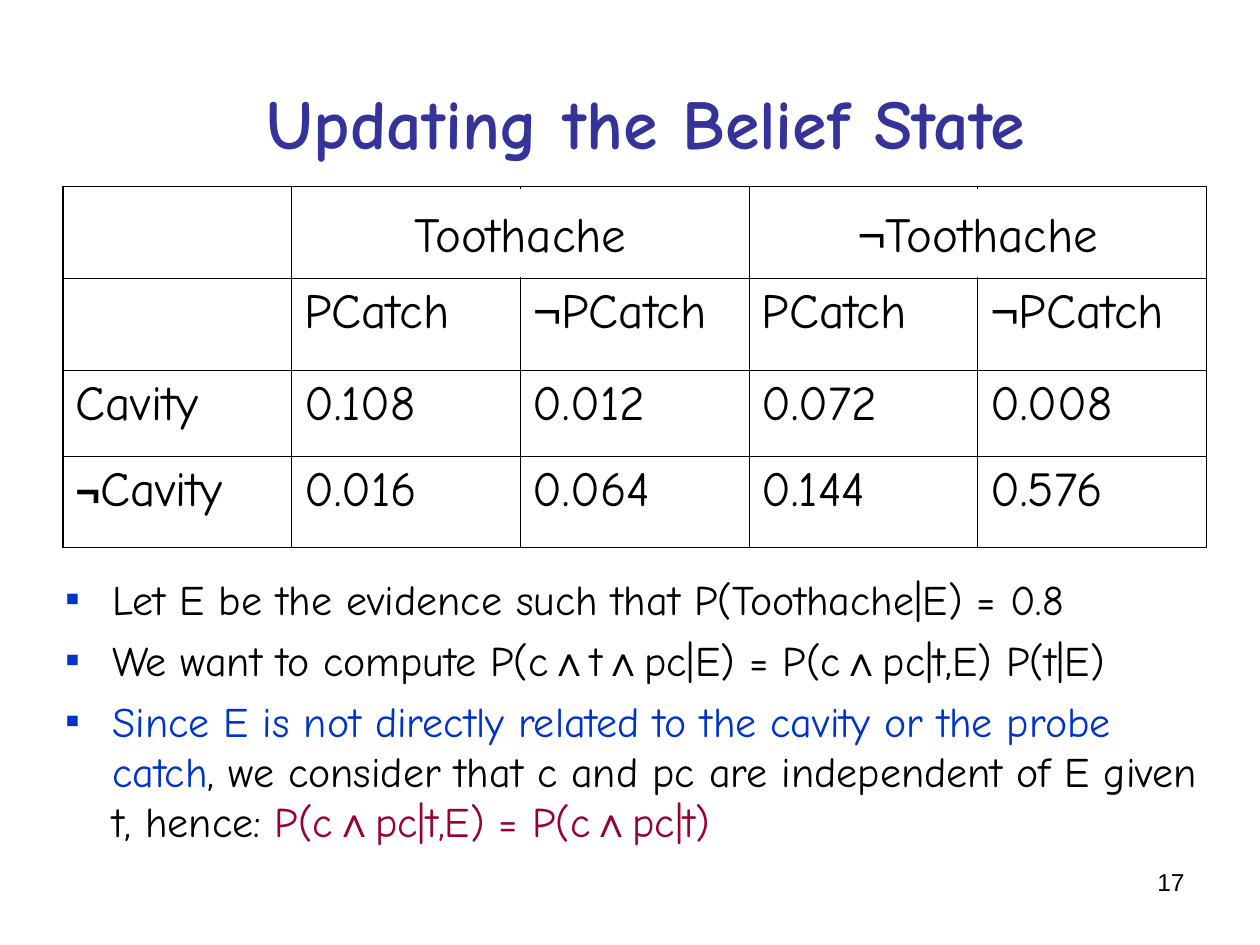
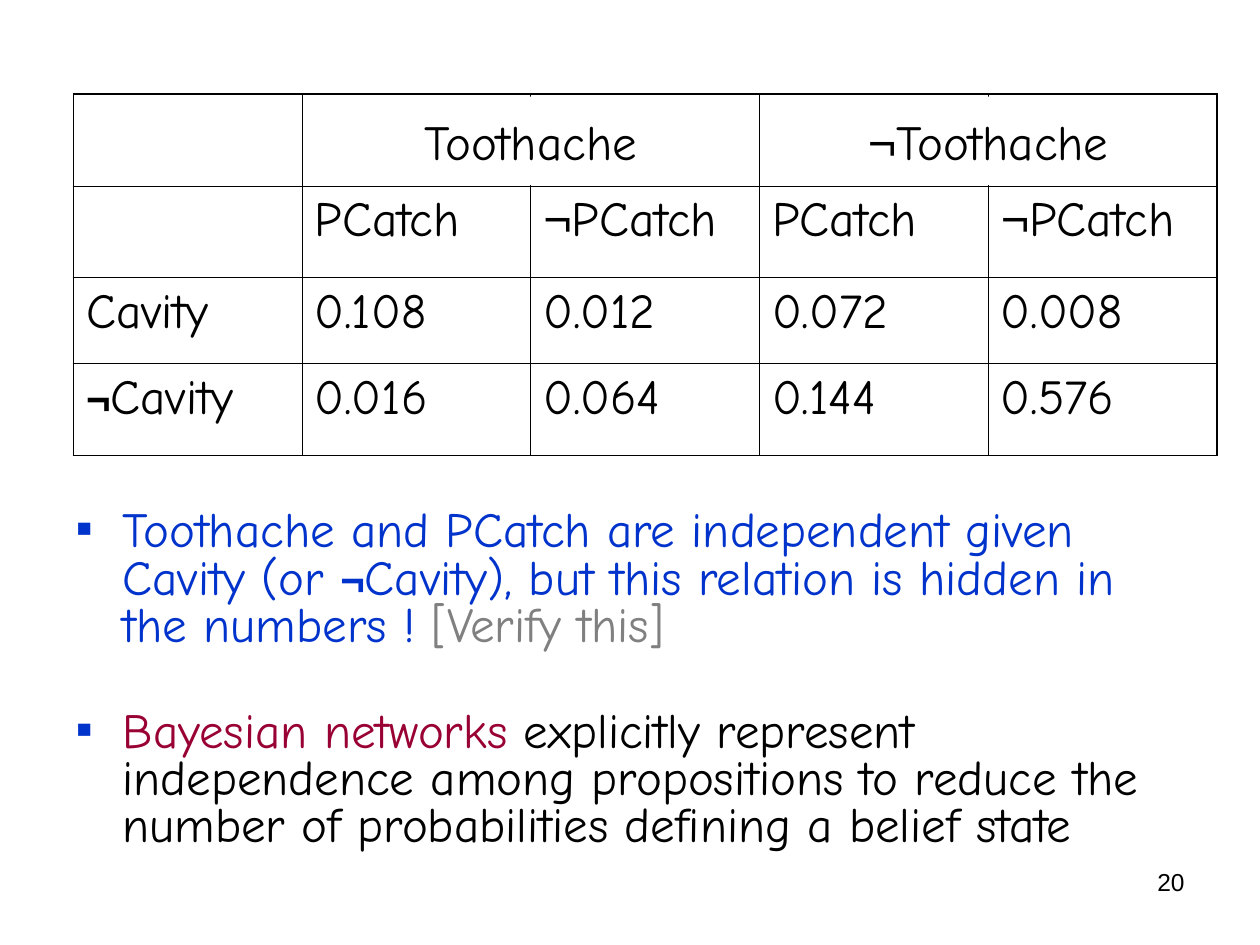
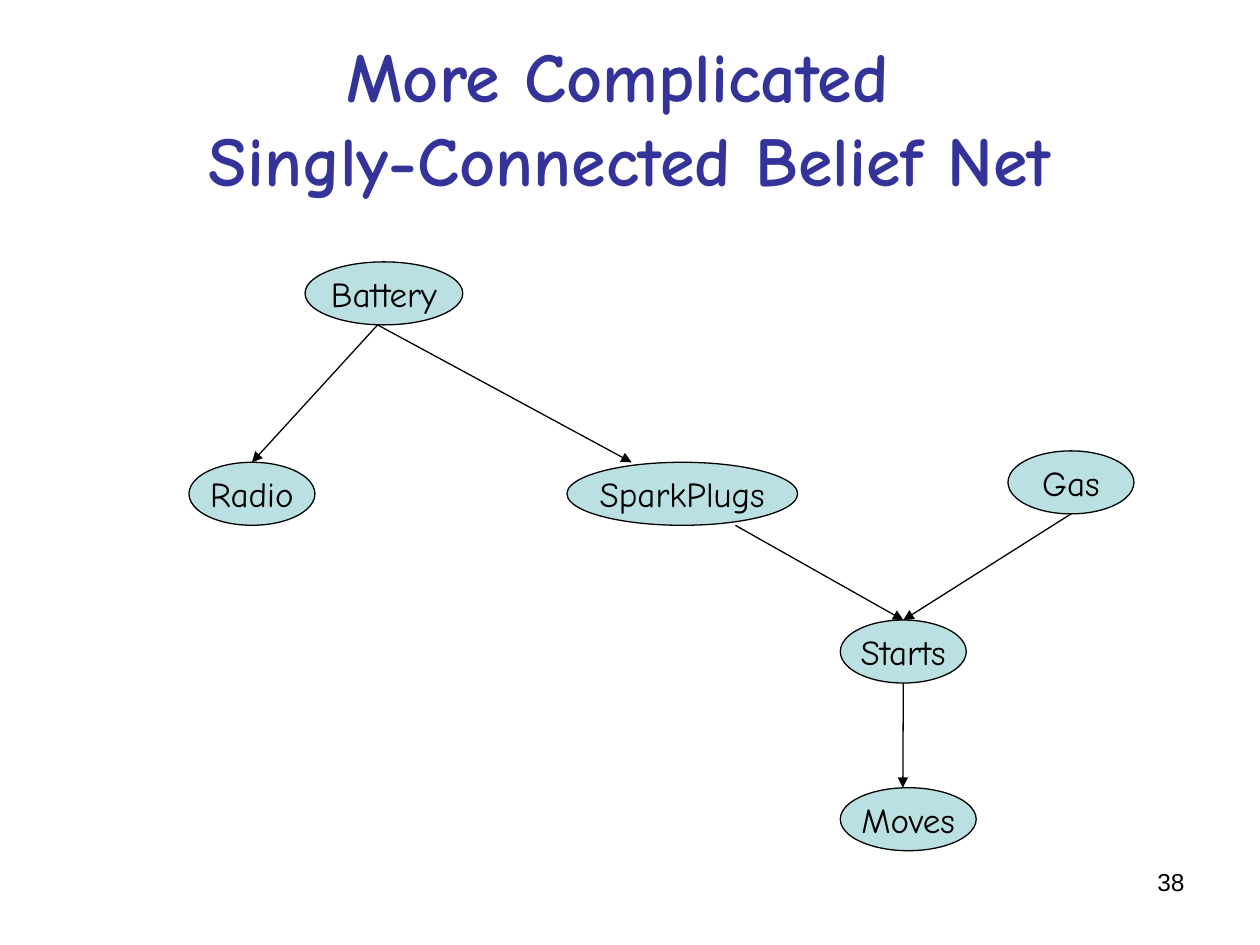
from itertools import groupby

from lxml.etree import SubElement
from pptx import Presentation
from pptx.dml.color import RGBColor
from pptx.enum.shapes import MSO_CONNECTOR as Connector, MSO_SHAPE as Shape
from pptx.enum.text import MSO_ANCHOR as Anchor, MSO_AUTO_SIZE as AutoSize, PP_ALIGN as Align
from pptx.oxml.ns import qn
from pptx.util import Cm, Pt

COLOURS = {"title": "333399", "ink": "000000", "blue": "0033CC", "red": "990033",
           "grey": "808080", "node": "BBE0E3", "paper": "FFFFFF"}
FONT, SYMBOL_FONT = "Comic Neue", "Arial"
SYMBOLS = "¬∧"
TITLE_AND_BODY, TITLE_ONLY = 1, 5  # layout indexes

# Joint distribution, all lengths in cm
COLUMN_WIDTH = 4.61
ROW_HEIGHTS = [1.85, 1.85, 1.73, 1.85]
EVIDENCE = ["Toothache", "¬Toothache"]
JOINT_ROWS = [
    ["", "", "", "", ""],
    ["", "PCatch", "¬PCatch", "PCatch", "¬PCatch"],
    ["Cavity", "0.108", "0.012", "0.072", "0.008"],
    ["¬Cavity", "0.016", "0.064", "0.144", "0.576"],
]

# Belief net: node -> left, top, width inside the net's box
NODE_HEIGHT = 1.27
NODES = {
    "Radio": (0, 4.04, 2.54),
    "Battery": (2.34, 0, 3.18),
    "SparkPlugs": (7.62, 4.04, 4.65),
    "Starts": (13.13, 7.22, 2.54),
    "Gas": (16.51, 3.81, 2.54),
    "Moves": (13.13, 10.6, 2.74),
}
# Cause, effect, and where the arrow meets each as a share of its width
EDGES = [
    ("Battery", 0.46, "Radio", 0.5),
    ("Battery", 0.46, "SparkPlugs", 0.28),
    ("SparkPlugs", 0.73, "Starts", 0.5),
    ("Gas", 0.5, "Starts", 0.5),
    ("Starts", 0.5, "Moves", 0.46),
]


def rgb(name):
    return RGBColor.from_string(COLOURS[name])


def cm(*lengths):
    return [Cm(length) for length in lengths]


def apply(target, **values):
    for name, value in values.items():
        setattr(target, name, value)


def write(paragraph, text, size, colour="ink", font=FONT, bold=False, symbol=None):
    """Add text, setting logic symbols in their own font and format."""
    for number, line in enumerate(text.split("\n")):
        if number:
            paragraph.add_line_break()
        for is_symbol, letters in groupby(line, lambda letter: letter in SYMBOLS):
            run = paragraph.add_run()
            run.text = "".join(letters)
            look = {"name": font, "size": Pt(size), "bold": bold}
            if is_symbol:
                look |= {"name": SYMBOL_FONT, **(symbol or {})}
            apply(run.font, **look)
            run.font.color.rgb = rgb(colour)


def place(shape, box):
    apply(shape, **dict(zip(("left", "top", "width", "height"), cm(*box))))


def add_title(slide, box, text):
    title = slide.shapes.title
    place(title, box)
    apply(title.text_frame, auto_size=AutoSize.NONE, vertical_anchor=Anchor.MIDDLE)
    paragraph = title.text_frame.paragraphs[0]
    paragraph.alignment = Align.CENTER
    write(paragraph, text, 40, "title", bold=True)


def add_page_number(slide, number):
    frame = slide.shapes.add_textbox(*cm(18.2, 17.35, 5.93, 1.32)).text_frame
    frame.word_wrap = True
    paragraph = frame.paragraphs[0]
    paragraph.alignment = Align.RIGHT
    write(paragraph, str(number), 14, font=SYMBOL_FONT)


def add_bullet(paragraph):
    properties = paragraph._p.get_or_add_pPr()
    properties.set("marL", str(Cm(0.95)))
    properties.set("indent", str(Cm(-0.95)))
    colour = SubElement(properties, qn("a:buClr"))
    SubElement(colour, qn("a:srgbClr"), val=COLOURS["blue"])
    SubElement(properties, qn("a:buFont"), typeface=SYMBOL_FONT)
    SubElement(properties, qn("a:buChar"), char="▪")


def add_points(slide, box, points, size, gaps, spacing, symbol):
    """Fill the body with points, each a list of (text, colour)."""
    body = slide.placeholders[1]
    place(body, box)
    frame = body.text_frame
    apply(frame, auto_size=AutoSize.NONE, vertical_anchor=Anchor.TOP)
    for number, (point, gap) in enumerate(zip(points, gaps)):
        paragraph = frame.add_paragraph() if number else frame.paragraphs[0]
        apply(paragraph, line_spacing=spacing, space_before=Pt(gap))
        add_bullet(paragraph)
        for text, colour in point:
            write(paragraph, text, size, colour, symbol=symbol)


def add_label_shape(shapes, kind, box, text, size, fill, outlined):
    shape = shapes.add_shape(kind, *cm(*box))
    shape.shadow.inherit = False
    shape.fill.solid()
    shape.fill.fore_color.rgb = rgb(fill)
    if outlined:
        shape.line.color.rgb = rgb("ink")
        shape.line.width = Pt(0.75)
    else:
        shape.line.fill.background()
    apply(shape.text_frame, word_wrap=False, vertical_anchor=Anchor.MIDDLE)
    paragraph = shape.text_frame.paragraphs[0]
    paragraph.alignment = Align.CENTER
    write(paragraph, text, size)


def set_borders(cell, outer_sides):
    properties = cell._tc.get_or_add_tcPr()
    for position, side in enumerate(("lnL", "lnR", "lnT", "lnB")):
        width = Pt(1.08 if side in outer_sides else 0.45)
        line = SubElement(properties, qn(f"a:{side}"), w=str(width))
        fill = SubElement(line, qn("a:solidFill"))
        SubElement(fill, qn("a:srgbClr"), val=COLOURS["ink"])
        properties.remove(line)
        properties.insert(position, line)


def add_joint_table(slide, left, top):
    row_count, column_count = len(JOINT_ROWS), len(JOINT_ROWS[0])
    table = slide.shapes.add_table(
        row_count, column_count,
        *cm(left, top, COLUMN_WIDTH * column_count, sum(ROW_HEIGHTS))).table
    apply(table, first_row=False, horz_banding=False)
    for column in table.columns:
        column.width = Cm(COLUMN_WIDTH)
    for r, (values, height) in enumerate(zip(JOINT_ROWS, ROW_HEIGHTS)):
        table.rows[r].height = Cm(height)
        for c, value in enumerate(values):
            cell = table.cell(r, c)
            cell.fill.background()
            edges = {"lnL": c == 0, "lnR": c == column_count - 1,
                     "lnT": r == 0, "lnB": r == row_count - 1}
            set_borders(cell, [side for side, is_outer in edges.items() if is_outer])
            if value:
                paragraph = cell.text_frame.paragraphs[0]
                paragraph.space_before = Pt(7)
                row_label = {"size": Pt(24), "bold": True} if c == 0 else None
                write(paragraph, value, 28, symbol=row_label)

    # Evidence headings, each covering two columns
    inset, span = 0.22, 2 * COLUMN_WIDTH
    for number, heading in enumerate(EVIDENCE):
        box = (left + COLUMN_WIDTH + number * span + inset, top + 0.05,
               span - 2 * inset, ROW_HEIGHTS[0] - 0.07)
        add_label_shape(slide.shapes, Shape.RECTANGLE, box, heading, 28, "paper", False)


def add_arrow(shapes, start, end):
    arrow = shapes.add_connector(Connector.STRAIGHT, *cm(*start, *end))
    arrow.line.color.rgb = rgb("ink")
    arrow.line.width = Pt(0.75)
    SubElement(arrow.line._get_or_add_ln(), qn("a:tailEnd"), type="triangle")
    SubElement(arrow._element.spPr, qn("a:effectLst"))


def add_belief_net(slide, left, top):
    shapes = slide.shapes.add_group_shape().shapes
    for name, (x, y, width) in NODES.items():
        box = (left + x, top + y, width, NODE_HEIGHT)
        add_label_shape(shapes, Shape.OVAL, box, name, 20, "node", True)

    def port(name, share, drop):
        x, y, width = NODES[name]
        return left + x + share * width, top + y + drop

    for cause, out_share, effect, in_share in EDGES:
        add_arrow(shapes, port(cause, out_share, NODE_HEIGHT), port(effect, in_share, 0))


def new_slide(deck, layout, number):
    slide = deck.slides.add_slide(deck.slide_layouts[layout])
    for spare in list(slide.placeholders):
        if spare.placeholder_format.idx > 1:
            spare._element.getparent().remove(spare._element)
    add_page_number(slide, number)
    return slide


def updating_slide(deck):
    slide = new_slide(deck, TITLE_AND_BODY, 17)
    add_title(slide, (0.64, 0.85, 24.77, 3.18), "Updating the Belief State")
    add_joint_table(slide, 1.27, 3.76)
    points = [
        [("Let E be the evidence such that P(Toothache|E) = 0.8", "ink")],
        [("We want to compute P(c∧t∧pc|E) = P(c∧pc|t,E) P(t|E)", "ink")],
        [("Since E is not directly related to the cavity or the probe catch", "blue"),
         (", we consider that c and pc are independent of E given t, hence: ", "ink"),
         ("P(c∧pc|t,E) = P(c∧pc|t)", "red")],
    ]
    add_points(slide, (1.06, 11.43, 23.5, 6.77), points, 24, (6, 6, 6), 1.0,
               {"bold": True})


def independence_slide(deck):
    slide = new_slide(deck, TITLE_AND_BODY, 20)
    heading = slide.shapes.title._element
    heading.getparent().remove(heading)
    points = [
        [("Toothache and PCatch are independent given Cavity (or ¬Cavity), "
          "but this relation is hidden in the numbers ! ", "blue"),
         ("[Verify this]", "grey")],
        [("Bayesian networks", "red"),
         (" explicitly represent independence among propositions to reduce "
          "the number of probabilities defining a belief state", "ink")],
    ]
    add_points(slide, (1.27, 10.16, 22.86, 7.83), points, 28, (7, 34), 0.8,
               {"size": Pt(24), "bold": True})
    add_joint_table(slide, 1.48, 1.9)


def net_slide(deck):
    slide = new_slide(deck, TITLE_ONLY, 38)
    add_title(slide, (1.27, 0.76, 22.86, 3.18),
              "More Complicated \nSingly-Connected Belief Net")
    add_belief_net(slide, 3.81, 5.28)


def main():
    deck = Presentation()
    apply(deck, slide_width=Cm(25.4), slide_height=Cm(19.05))
    for build in (updating_slide, independence_slide, net_slide):
        build(deck)
    deck.save("out.pptx")


if __name__ == "__main__":
    main()
